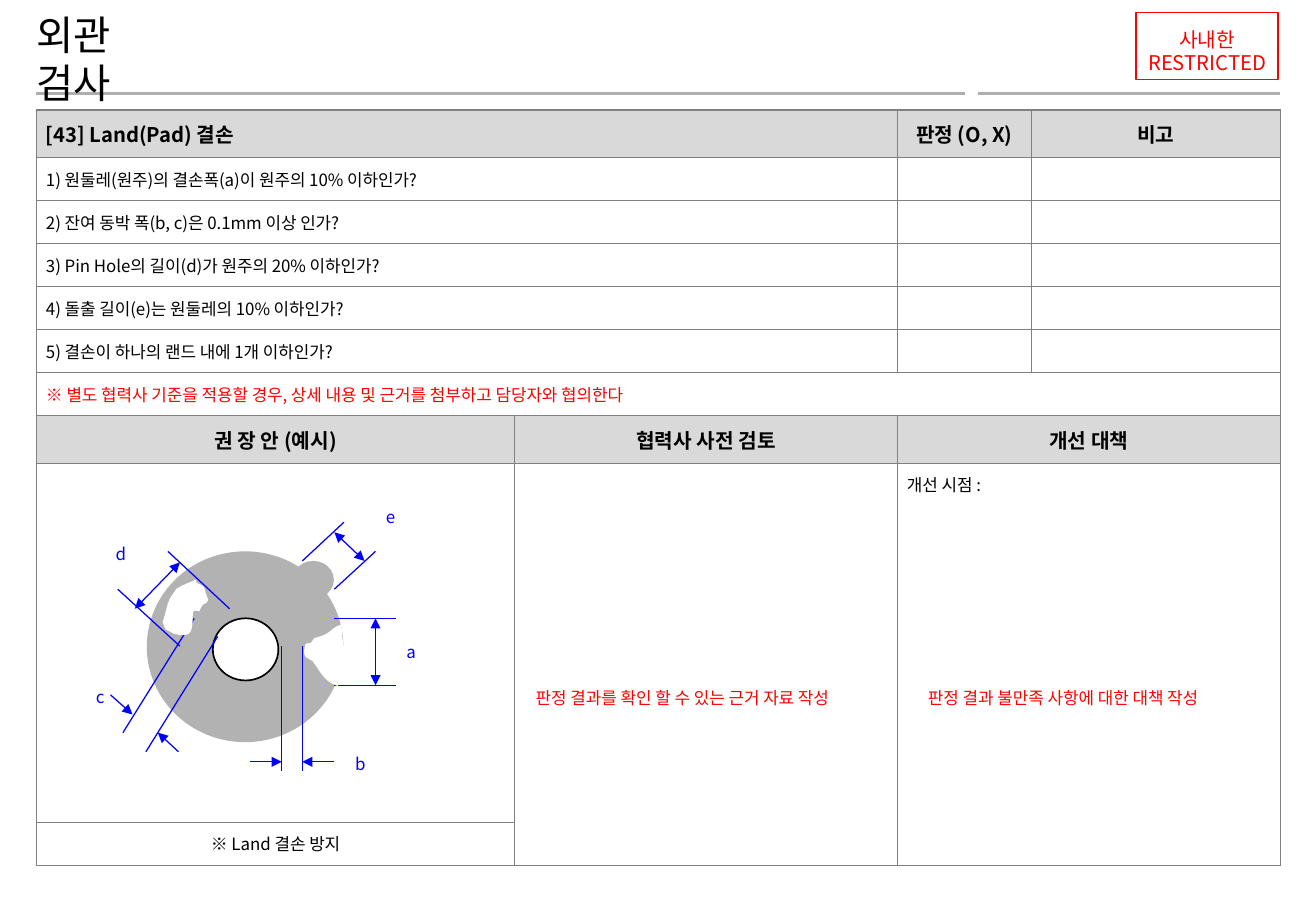
from lxml import etree
from pptx import Presentation
from pptx import util as u
from pptx.dml.color import RGBColor
from pptx.enum import shapes, text
from pptx.oxml import ns

FONT = "Noto Sans CJK KR"
BLACK, RED, BLUE, WHITE = "000000", "FF0000", "0000FF", "FFFFFF"
GREY, HEAD, EDGE, RULE = "B2B2B2", "D9D9D9", "808080", "AEAEAE"
LEFT, MID = text.PP_ALIGN.LEFT, text.PP_ALIGN.CENTER

CHECKS = [
    "1) 원둘레(원주)의 결손폭(a)이 원주의 10% 이하인가?",
    "2) 잔여 동박 폭(b, c)은 0.1mm 이상 인가?",
    "3) Pin Hole의 길이(d)가 원주의 20% 이하인가?",
    "4) 돌출 길이(e)는 원둘레의 10% 이하인가?",
    "5) 결손이 하나의 랜드 내에 1개 이하인가?",
]

# x1, y1, x2, y2, arrowheads
GUIDES = [
    (5.89, 13.51, 5.89, 16.13, ""),
    (6.32, 13.51, 6.32, 16.13, ""),
    (5.23, 15.93, 5.89, 15.93, "tail"),
    (6.99, 15.93, 6.32, 15.93, "tail"),
    (6.99, 14.33, 8.28, 14.33, ""),
    (6.99, 12.93, 8.28, 12.93, ""),
    (7.85, 12.93, 7.85, 14.33, "head tail"),
    (4.06, 12.93, 2.57, 15.32, ""),
    (4.55, 13.31, 3.05, 15.72, ""),
    (2.31, 14.53, 2.77, 14.94, "tail"),
    (3.73, 15.72, 3.3, 15.32, "tail"),
    (3.76, 13.51, 2.46, 12.32, ""),
    (4.8, 12.73, 3.51, 11.53, ""),
    (2.82, 12.73, 3.76, 11.76, "head tail"),
    (6.32, 11.73, 7.19, 10.92, ""),
    (6.99, 12.32, 7.85, 11.53, ""),
    (6.99, 11.13, 7.62, 11.73, "head tail"),
]
MARKS = [("a", 8.05, 13.34), ("b", 6.99, 15.67), ("e", 7.62, 10.52),
         ("d", 1.98, 11.28), ("c", 1.55, 14.27)]

# A start point, then three points for each Bezier curve
HOLE = [
    (4.11, 12.12),
    (3.94, 12.19), (3.84, 12.22), (3.68, 12.32),
    (3.63, 12.42), (3.56, 12.47), (3.53, 12.57),
    (3.48, 12.67), (3.45, 12.9), (3.4, 13),
    (3.45, 13.13), (3.43, 13.16), (3.56, 13.21),
    (3.61, 13.26), (3.76, 13.28), (3.76, 13.28),
    (3.81, 13.28), (3.89, 13.28), (3.94, 13.26),
    (4.06, 13.18), (4.01, 12.88), (4.04, 12.8),
    (4.06, 12.75), (4.11, 12.78), (4.17, 12.78),
    (4.19, 12.73), (4.22, 12.67), (4.24, 12.65),
    (4.27, 12.62), (4.32, 12.62), (4.34, 12.57),
    (4.37, 12.52), (4.32, 12.5), (4.32, 12.45),
    (4.29, 12.4), (4.29, 12.34), (4.27, 12.29),
    (4.22, 12.19), (4.04, 12.22), (4.11, 12.12),
]
DENT = [
    (7.14, 13.06),
    (6.96, 13.11), (6.96, 13.18), (6.81, 13.26),
    (6.73, 13.31), (6.58, 13.34), (6.58, 13.34),
    (6.55, 13.36), (6.53, 13.41), (6.5, 13.44),
    (6.45, 13.46), (6.4, 13.44), (6.38, 13.49),
    (6.32, 13.74), (6.38, 13.74), (6.53, 13.82),
    (6.71, 14.05), (6.76, 14.25), (7.06, 14.35),
    (7.14, 14.2), (7.21, 14.1), (7.26, 13.94),
    (7.21, 13.64), (7.14, 13.36), (7.14, 13.06),
]


def tint(hue):
    return RGBColor.from_string(hue)


def node(parent, tag, **attrs):
    return etree.SubElement(parent, ns.qn(tag), attrs)


def write(para, words, size, hue=BLACK, bold=False, align=LEFT):
    para.alignment = align
    run = para.add_run()
    run.text = words
    font = run.font
    font.size, font.bold, font.name = u.Pt(size), bold, FONT
    font.color.rgb = tint(hue)
    node(run._r.get_or_add_rPr(), "a:ea", typeface=FONT)


def pad(frame, side, top):
    frame.margin_left = frame.margin_right = u.Cm(side)
    frame.margin_top = frame.margin_bottom = u.Cm(top)


def label(slide, words, box, hue, align=LEFT, side=0.25, top=0.13):
    frame = slide.shapes.add_textbox(*map(u.Cm, box)).text_frame
    frame.word_wrap = True
    pad(frame, side, top)
    write(frame.paragraphs[0], words, 10, hue, align=align)


def line(slide, ends, hue, width, heads=""):
    link = slide.shapes.add_connector(
        shapes.MSO_CONNECTOR.STRAIGHT, *map(u.Cm, ends))
    link.line.color.rgb = tint(hue)
    link.line.width = u.Pt(width)
    for end in heads.split():
        node(link.line._get_or_add_ln(), f"a:{end}End", type="triangle")
    node(link._element.spPr, "a:effectLst")


def paint(shape, fill=None, edge=None, width=1):
    shape.shadow.inherit = False
    if fill:
        shape.fill.solid()
        shape.fill.fore_color.rgb = tint(fill)
    else:
        shape.fill.background()
    if edge:
        shape.line.color.rgb = tint(edge)
        shape.line.width = u.Pt(width)
    else:
        shape.line.fill.background()


def disc(slide, box, fill, edge=None):
    kind = shapes.MSO_SHAPE.OVAL
    paint(slide.shapes.add_shape(kind, *map(u.Cm, box)), fill, edge)


def blob(slide, pts, steps=6):
    """Draw a closed white outline through Bezier curves."""
    dots = []
    for i in range(0, len(pts) - 1, 3):
        for t in (n / steps for n in range(1, steps + 1)):
            mix = ((1 - t) ** 3, 3 * t * (1 - t) ** 2,
                   3 * t * t * (1 - t), t ** 3)
            dots.append(tuple(
                u.Cm(sum(m * p[k] for m, p in zip(mix, pts[i:i + 4])))
                for k in (0, 1)))
    form = slide.shapes.build_freeform(*map(u.Cm, pts[0]))
    form.add_line_segments(dots)
    paint(form.convert_to_shape(), WHITE)


def frame_cell(cell):
    pad(cell, 0.2, 0.19)
    cell.vertical_anchor = text.MSO_ANCHOR.MIDDLE
    tc = cell._tc.get_or_add_tcPr()
    for side in "LRTB":
        edge = node(tc, f"a:ln{side}", w=str(u.Pt(0.75)))
        node(node(edge, "a:solidFill"), "a:srgbClr", val=EDGE)
    cell.fill.background()
    node(cell.text_frame.paragraphs[0]._p, "a:endParaRPr", sz="1000")


def put(cell, words, size=10, **style):
    write(cell.text_frame.paragraphs[0], words, size, **style)


def header(cell, words, align=MID):
    cell.fill.solid()
    cell.fill.fore_color.rgb = tint(HEAD)
    put(cell, words, 12, bold=True, align=align)


def sheet(slide):
    cols = [10, 8, 2.8, 5.2]
    rows = [0.99] + [0.9] * 6 + [0.99, 7.5, 0.9]
    grid = slide.shapes.add_table(
        len(rows), len(cols), u.Cm(0.76), u.Cm(2.3),
        u.Cm(sum(cols)), u.Cm(sum(rows))).table
    grid.first_row = grid.horz_banding = False
    for col, wide in zip(grid.columns, cols):
        col.width = u.Cm(wide)
    for row, high in zip(grid.rows, rows):
        row.height = u.Cm(high)
    for cell in grid.iter_cells():
        frame_cell(cell)
    at = grid.cell
    spans = [(r, 0, r, 1) for r in range(6)]
    spans += [(6, 0, 6, 3), (7, 2, 7, 3), (8, 1, 9, 1), (8, 2, 9, 3)]
    for r, c, low, last in spans:
        at(r, c).merge(at(low, last))

    header(at(0, 0), "[43] Land(Pad) 결손", LEFT)
    header(at(0, 2), "판정 (O, X)")
    header(at(0, 3), "비고")
    for r, words in enumerate(CHECKS, 1):
        put(at(r, 0), words)
    put(at(6, 0), "※ 별도 협력사 기준을 적용할 경우, "
        "상세 내용 및 근거를 첨부하고 담당자와 협의한다", hue=RED)
    for c, words in enumerate(["권 장 안 (예시)", "협력사 사전 검토", "개선 대책"]):
        header(at(7, c), words)
    at(8, 2).vertical_anchor = text.MSO_ANCHOR.TOP
    put(at(8, 2), "개선 시점 :")
    put(at(9, 0), "※ Land 결손 방지", align=MID)


def heading(slide):
    line(slide, (0.76, 1.96, 20.17, 1.96), RULE, 2)
    line(slide, (20.45, 1.96, 26.75, 1.96), RULE, 2)
    title = slide.shapes.title
    title.left, title.top = u.Cm(0.76), u.Cm(0.21)
    title.width, title.height = u.Cm(1.7), u.Cm(2.03)
    frame = title.text_frame
    frame.auto_size = text.MSO_AUTO_SIZE.NONE
    frame.word_wrap = True
    frame.vertical_anchor = text.MSO_ANCHOR.MIDDLE
    pad(frame, 0, 0)
    write(frame.paragraphs[0], "외관 검사", 24)
    frame.paragraphs[0].line_spacing = u.Pt(28.4)
    slide.shapes.element.append(title.element)


def stamp(slide):
    box = slide.shapes.add_shape(
        shapes.MSO_SHAPE.RECTANGLE, *map(u.Cm, (23.75, 0.27, 2.97, 1.4)))
    paint(box, edge=RED, width=0.75)
    frame = box.text_frame
    frame.word_wrap = False
    frame.vertical_anchor = text.MSO_ANCHOR.TOP
    pad(frame, 0.23, 0.33)
    for para, words in ((frame.paragraphs[0], "사내한"),
                        (frame.add_paragraph(), "RESTRICTED")):
        write(para, words, 12, RED, align=MID)
        para.line_spacing = u.Pt(13.6)


def land(slide):
    """Draw the pad with its defects and measures."""
    disc(slide, (6.12, 11.73, 0.86, 0.79), GREY)
    disc(slide, (3.07, 11.53, 4.11, 3.99), GREY)
    disc(slide, (4.45, 12.93, 1.37, 1.3), WHITE, BLACK)
    for *ends, heads in GUIDES:
        line(slide, ends, BLUE, 0.75, heads)
    for name, x, y in MARKS:
        label(slide, name, (x, y, 1.09, 0.58), BLUE, MID, 0.15, 0.08)
    blob(slide, HOLE)
    blob(slide, DENT)


def main():
    deck = Presentation()
    deck.slide_width, deck.slide_height = u.Cm(27.51), u.Cm(19.05)
    slide = deck.slides.add_slide(deck.slide_layouts[5])
    heading(slide)
    stamp(slide)
    sheet(slide)
    land(slide)
    label(slide, "판정 결과를 확인 할 수 있는 근거 자료 작성",
          (10.95, 14.25, 7.59, 0.69), RED)
    label(slide, "판정 결과 불만족 사항에 대한 대책 작성",
          (19.15, 14.25, 7.19, 0.69), RED)
    deck.save("out.pptx")


if __name__ == "__main__":
    main()
